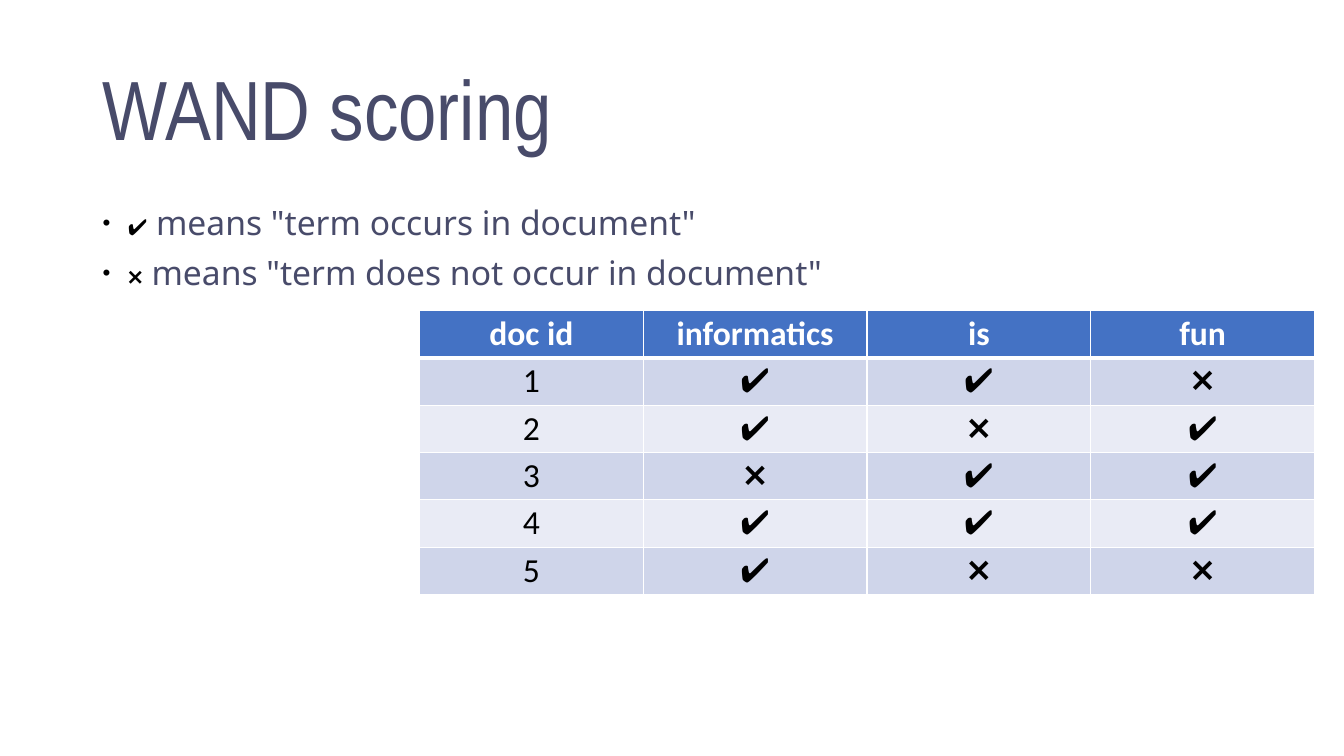
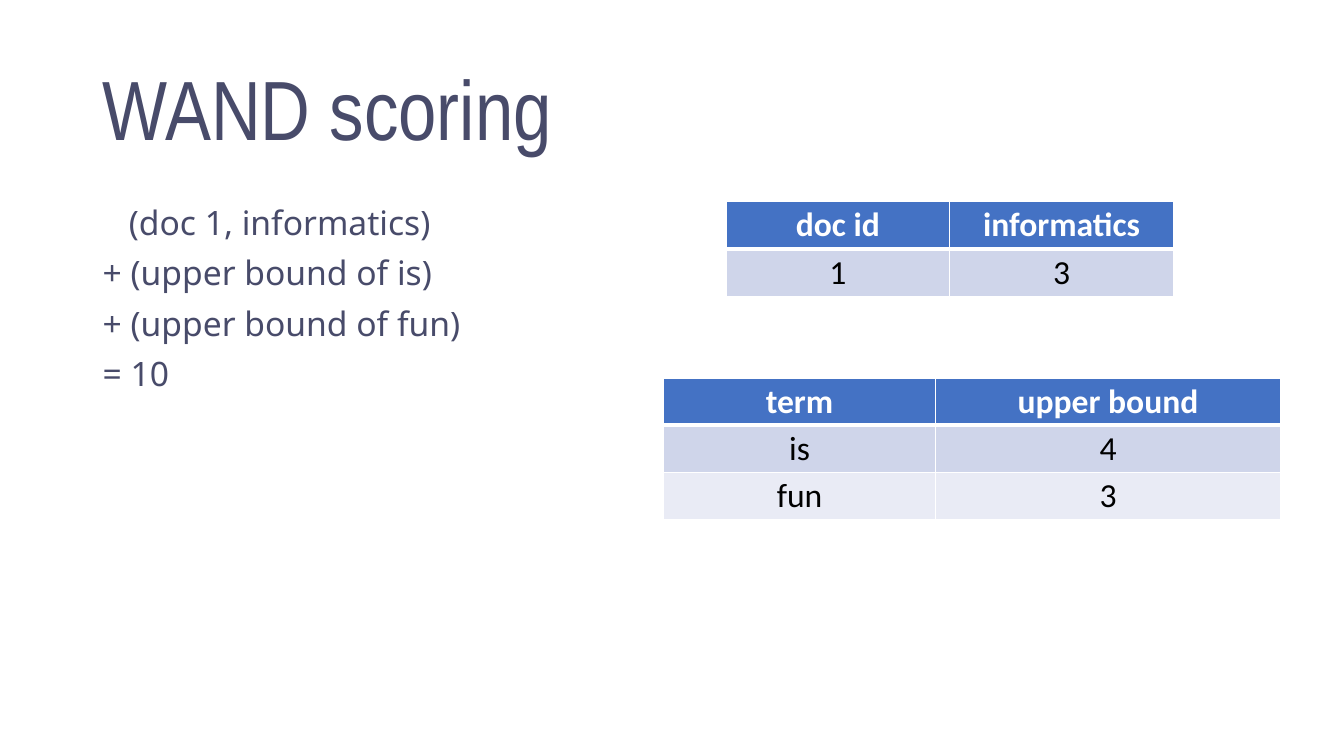
from dataclasses import dataclass

from lxml import etree
from pptx import Presentation
from pptx import util as u
from pptx.dml.color import RGBColor
from pptx.enum import text
from pptx.oxml import ns

COLORS = {
    "heading": "484B6A",
    "black": "000000",
    "white": "FFFFFF",
    "header": "4472C4",
    "odd_row": "CFD5EA",
    "even_row": "E9EBF5",
}
TITLE_FONT, BODY_FONT, TABLE_FONT = "Arial Narrow", "Noto Sans", "Calibri"
YES, NO = "✔️", "❌"
ROW_HEIGHT = 0.47
THIN, THICK = 1, 3


@dataclass(frozen=True)
class Run:
    text: str
    size: float = 24
    font: str = BODY_FONT
    color: str = "heading"
    bold: bool = False


@dataclass(frozen=True)
class Line:
    runs: tuple[Run, ...]
    margin: float = 0
    bullet: bool = False


@dataclass(frozen=True)
class Grid:
    left: float
    top: float
    widths: tuple[float, ...]
    rows: tuple[tuple[str, ...], ...]


@dataclass(frozen=True)
class Page:
    title: str
    lines: tuple[Line, ...]
    grids: tuple[Grid, ...]


def add_run(paragraph, content: Run) -> None:
    run = paragraph.add_run()
    run.text = content.text
    run.font.name = content.font
    run.font.size = u.Pt(content.size)
    run.font.bold = content.bold
    run.font.color.rgb = RGBColor.from_string(COLORS[content.color])


def place(shape, left: float, top: float, width: float, height: float) -> None:
    shape.left, shape.top = u.Inches(left), u.Inches(top)
    shape.width, shape.height = u.Inches(width), u.Inches(height)


def add_title(slide, title: str) -> None:
    shape = slide.shapes.title
    place(shape, 0.92, 0.4, 11.5, 1.45)
    frame = shape.text_frame
    frame.auto_size = text.MSO_AUTO_SIZE.NONE
    frame.vertical_anchor = text.MSO_ANCHOR.MIDDLE
    paragraph = frame.paragraphs[0]
    paragraph.alignment = text.PP_ALIGN.LEFT
    paragraph.line_spacing = 0.9
    add_run(paragraph, Run(title, 60, TITLE_FONT))


def indent(paragraph, line: Line) -> None:
    properties = paragraph._p.get_or_add_pPr()
    margin = u.Inches(line.margin)
    properties.set("marL", str(margin))
    properties.set("indent", str(-margin if line.bullet else 0))
    if line.bullet:
        etree.SubElement(properties, ns.qn("a:buFont"), typeface="Arial")
        etree.SubElement(properties, ns.qn("a:buChar"), char="•")


def add_body(slide, lines: tuple[Line, ...]) -> None:
    shape = slide.shapes.add_textbox(
        u.Inches(0.92), u.Inches(2), u.Inches(11.5), u.Inches(5.3)
    )
    frame = shape.text_frame
    frame.word_wrap = True
    for index, line in enumerate(lines):
        paragraph = frame.add_paragraph() if index else frame.paragraphs[0]
        paragraph.line_spacing = 0.9
        paragraph.space_before = u.Pt(10)
        indent(paragraph, line)
        for run in line.runs:
            add_run(paragraph, run)


def set_borders(cell, top: float, bottom: float) -> None:
    properties = cell._tc.get_or_add_tcPr()
    sides = (("L", THIN), ("R", THIN), ("T", top), ("B", bottom))
    for index, (side, width) in enumerate(sides):
        border = etree.Element(ns.qn(f"a:ln{side}"), w=str(u.Pt(width)))
        fill = etree.SubElement(border, ns.qn("a:solidFill"))
        etree.SubElement(fill, ns.qn("a:srgbClr"), val=COLORS["white"])
        properties.insert(index, border)


def fill_cell(cell, content: str, row: int) -> None:
    header = row == 0
    fill = "header" if header else "odd_row" if row % 2 else "even_row"
    cell.fill.solid()
    cell.fill.fore_color.rgb = RGBColor.from_string(COLORS[fill])
    cell.margin_left = cell.margin_right = u.Inches(0.07)
    cell.margin_top = cell.margin_bottom = u.Inches(0.03)
    cell.vertical_anchor = text.MSO_ANCHOR.MIDDLE
    paragraph = cell.text_frame.paragraphs[0]
    paragraph.alignment = text.PP_ALIGN.CENTER
    color = "white" if header else "black"
    add_run(paragraph, Run(content, 24, TABLE_FONT, color, header))
    set_borders(cell, THICK if row == 1 else THIN, THICK if header else THIN)


def add_grid(slide, grid: Grid) -> None:
    table = slide.shapes.add_table(
        len(grid.rows),
        len(grid.widths),
        u.Inches(grid.left),
        u.Inches(grid.top),
        u.Inches(sum(grid.widths)),
        u.Inches(ROW_HEIGHT * len(grid.rows)),
    ).table
    for column, width in zip(table.columns, grid.widths):
        column.width = u.Inches(width)
    for row, values in enumerate(grid.rows):
        table.rows[row].height = u.Inches(ROW_HEIGHT)
        for column, value in enumerate(values):
            fill_cell(table.cell(row, column), value, row)


def legend(mark: str, meaning: str) -> Line:
    symbol = Run(mark, 16, TABLE_FONT, "black")
    return Line((symbol, Run(f' means "{meaning}"')), 0.25, True)


PAGES = (
    Page(
        "WAND scoring",
        (
            legend(YES, "term occurs in document"),
            legend(NO, "term does not occur in document"),
        ),
        (
            Grid(
                4.16,
                3.08,
                (2.22,) * 4,
                (
                    ("doc id", "informatics", "is", "fun"),
                    ("1", YES, YES, NO),
                    ("2", YES, NO, YES),
                    ("3", NO, YES, YES),
                    ("4", YES, YES, YES),
                    ("5", YES, NO, NO),
                ),
            ),
        ),
    ),
    Page(
        "WAND scoring",
        (
            Line((Run("(doc 1, informatics)"),), 0.26),
            Line((Run("+ (upper bound of is)"),)),
            Line((Run("+ (upper bound of fun)"),)),
            Line((Run("= 10"),)),
        ),
        (
            Grid(
                6.58,
                3.75,
                (2.7, 3.42),
                (("term", "upper bound"), ("is", "4"), ("fun", "3")),
            ),
            Grid(7.2, 2, (2.22,) * 2, (("doc id", "informatics"), ("1", "3"))),
        ),
    ),
)


def main() -> None:
    presentation = Presentation()
    presentation.slide_width = u.Inches(13.33)
    presentation.slide_height = u.Inches(7.5)
    for page in PAGES:
        slide = presentation.slides.add_slide(presentation.slide_layouts[5])
        add_title(slide, page.title)
        add_body(slide, page.lines)
        for grid in page.grids:
            add_grid(slide, grid)
    presentation.save("out.pptx")


if __name__ == "__main__":
    main()
